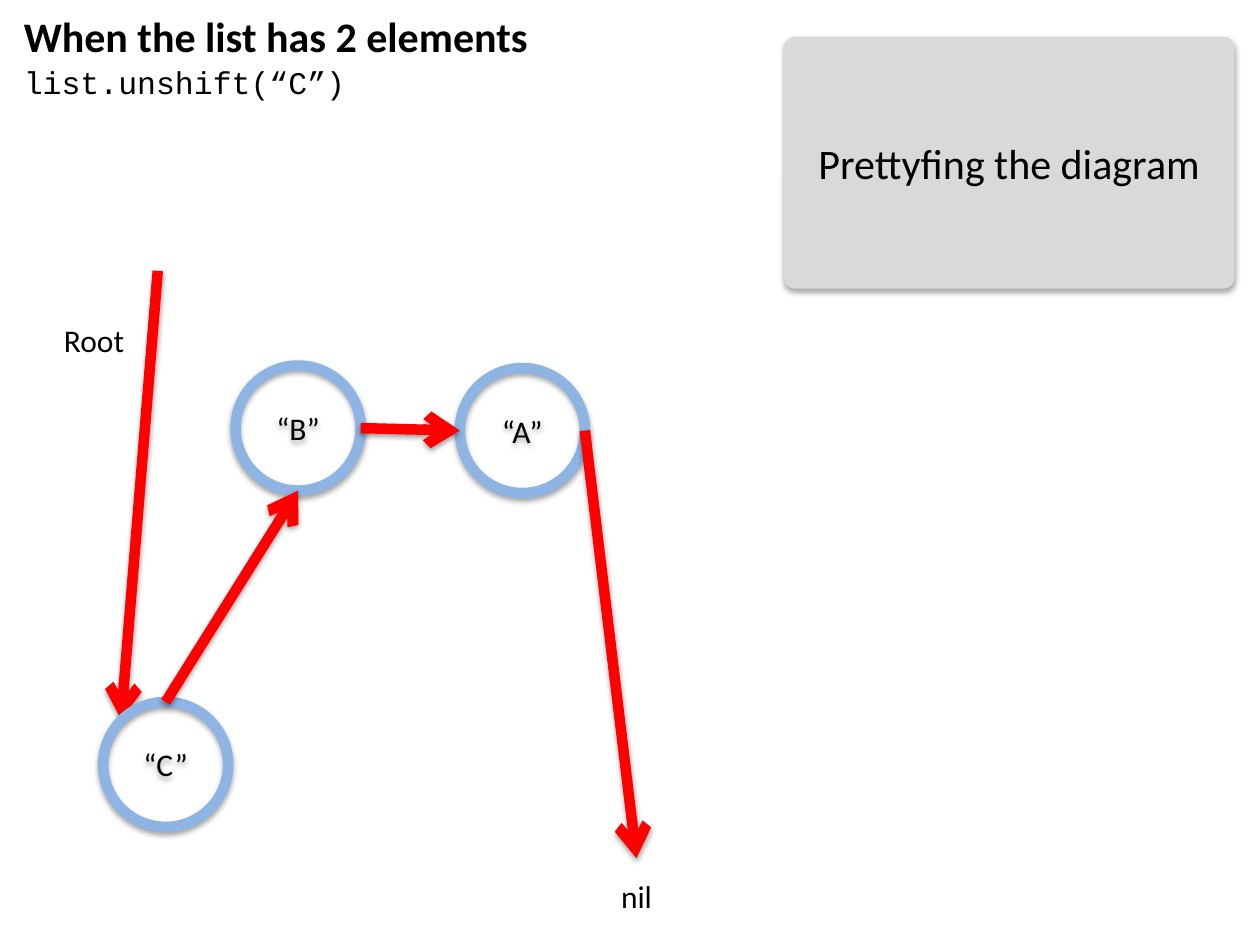
from dataclasses import dataclass

from lxml.etree import SubElement
from pptx import Presentation
from pptx.dml.color import RGBColor
from pptx.enum.shapes import MSO_CONNECTOR, MSO_SHAPE
from pptx.enum.text import MSO_ANCHOR, MSO_AUTO_SIZE, PP_ALIGN
from pptx.oxml.ns import qn
from pptx.util import Cm, Pt

BLACK, RED, BLUE, GREY = "000000", "FF0000", "8EB4E3", "D9D9D9"
DIAMETER = 2.52  # centimetres, as are all lengths below


@dataclass
class Label:
    text: str
    left: float
    top: float
    width: float
    height: float = 1.02
    size: int = 18
    font: str = "Calibri"
    bold: bool = False


@dataclass
class Node:
    text: str
    left: float
    top: float

    def anchor(self, across: float, down: float) -> tuple[float, float]:
        """Point at the given fractions of the node's width and height."""
        return self.left + across * DIAMETER, self.top + down * DIAMETER


def color(value: str) -> RGBColor:
    return RGBColor.from_string(value)


def add_shadow(shape, opacity: int, distance: float) -> None:
    effects = SubElement(shape._element.spPr, qn("a:effectLst"))
    shadow = SubElement(effects, qn("a:outerShdw"), blurRad=str(Pt(3.15)),
                        dist=str(Pt(distance)), dir="5400000", rotWithShape="0")
    black = SubElement(shadow, qn("a:srgbClr"), val=BLACK)
    SubElement(black, qn("a:alpha"), val=str(opacity * 1000))


def write(frame, text: str, size: int, font: str = "Calibri", bold: bool = False) -> None:
    run = frame.paragraphs[0].add_run()
    run.text = text
    run.font.name = font
    run.font.size = Pt(size)
    run.font.bold = bold
    run.font.color.rgb = color(BLACK)


def add_label(slide, label: Label) -> None:
    box = slide.shapes.add_textbox(Cm(label.left), Cm(label.top),
                                   Cm(label.width), Cm(label.height))
    frame = box.text_frame
    frame.word_wrap = True
    frame.auto_size = MSO_AUTO_SIZE.SHAPE_TO_FIT_TEXT
    write(frame, label.text, label.size, label.font, label.bold)


def add_box(slide, kind: MSO_SHAPE, text: str, size: int,
            left: float, top: float, width: float, height: float):
    shape = slide.shapes.add_shape(kind, Cm(left), Cm(top), Cm(width), Cm(height))
    shape.fill.background()
    shape.line.fill.background()
    frame = shape.text_frame
    frame.vertical_anchor = MSO_ANCHOR.MIDDLE
    frame.paragraphs[0].alignment = PP_ALIGN.CENTER
    write(frame, text, size)
    add_shadow(shape, 35, 1.81)
    return shape


def add_node(slide, node: Node) -> None:
    circle = add_box(slide, MSO_SHAPE.OVAL, node.text, 18,
                     node.left, node.top, DIAMETER, DIAMETER)
    circle.line.color.rgb = color(BLUE)
    circle.line.width = Pt(6)


def add_arrow(slide, start: tuple[float, float], end: tuple[float, float]) -> None:
    arrow = slide.shapes.add_connector(MSO_CONNECTOR.STRAIGHT,
                                       *(Cm(value) for value in start + end))
    arrow.line.color.rgb = color(RED)
    arrow.line.width = Pt(6)
    SubElement(arrow.line._get_or_add_ln(), qn("a:tailEnd"), type="arrow")
    add_shadow(arrow, 38, 1.57)


LABELS = [
    Label("Root", 1.04, 6.35, 2.13),
    Label("list.unshift(“C”)", 0.23, 1.14, 20.73, font="Courier New"),
    Label("When the list has 2 elements", 0.23, 0.08, 11.28, 1.27, size=24, bold=True),
    Label("nil", 12.27, 17.55, 1.8),
]
NODE_A = Node("“A”", 9.27, 7.42)
NODE_B = Node("“B”", 4.75, 7.37)
NODE_C = Node("“C”", 2.08, 14.15)
LINKS = [
    (NODE_A.anchor(1, 0.5), (12.83, 17.3)),
    (NODE_B.anchor(1, 0.5), NODE_A.anchor(0, 0.5)),
    (NODE_C.anchor(0.5, 0), NODE_B.anchor(0.5, 1)),
]


def main() -> None:
    presentation = Presentation()
    presentation.slide_width, presentation.slide_height = Cm(25.4), Cm(19.05)
    slide = presentation.slides.add_slide(presentation.slide_layouts[6])

    # Title, code and pointer names
    for label in LABELS:
        add_label(slide, label)

    # Caption panel
    panel = add_box(slide, MSO_SHAPE.ROUNDED_RECTANGLE, "Prettyfing the diagram", 24,
                    15.8, 0.74, 9.09, 5.08)
    panel.adjustments[0] = 0.045
    panel.fill.solid()
    panel.fill.fore_color.rgb = color(GREY)

    # Root pointer runs behind the nodes, the links in front
    add_arrow(slide, (3.18, 5.46), (2.44, 14.5))
    for node in (NODE_A, NODE_B, NODE_C):
        add_node(slide, node)
    for start, end in LINKS:
        add_arrow(slide, start, end)

    presentation.save("out.pptx")


if __name__ == "__main__":
    main()
